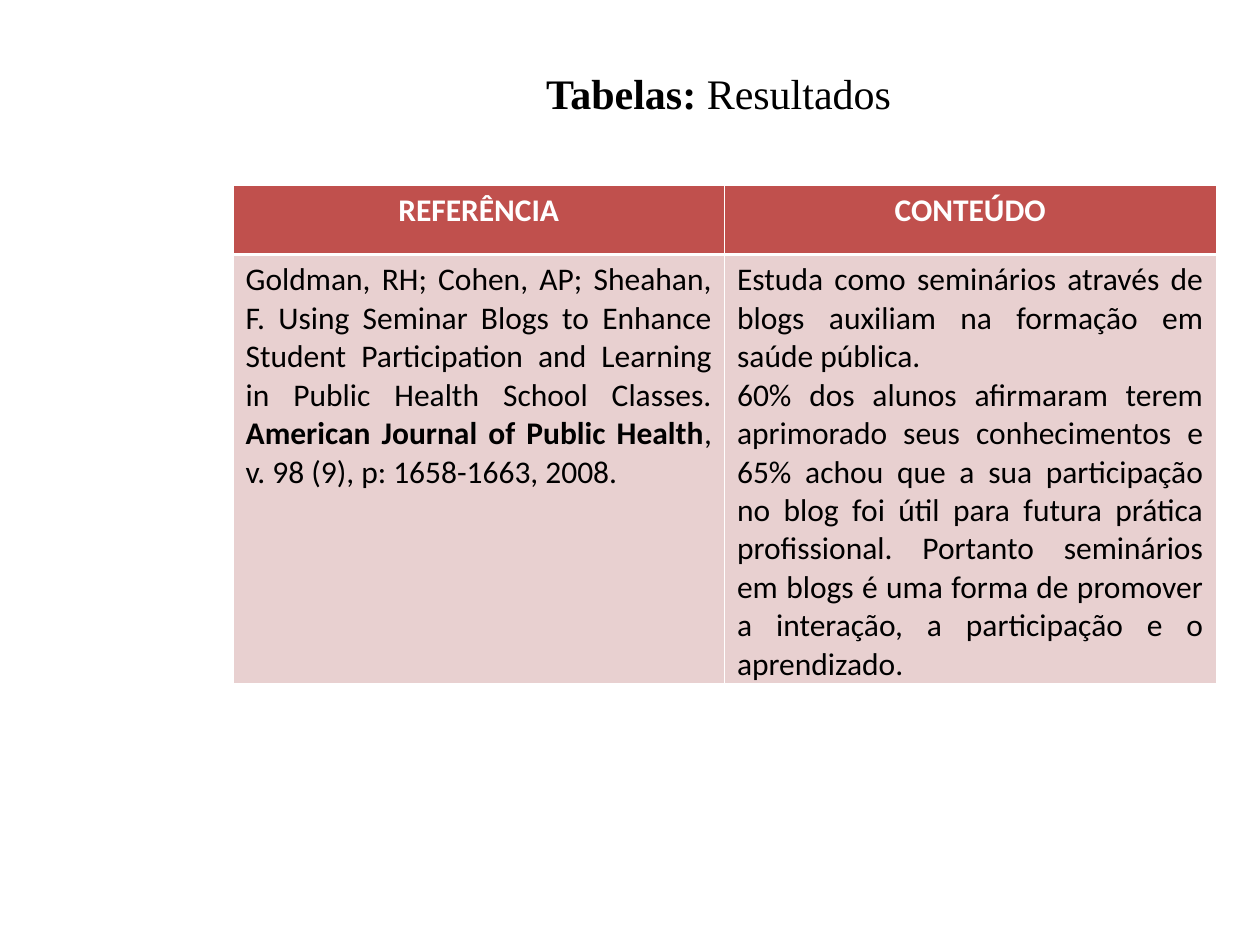
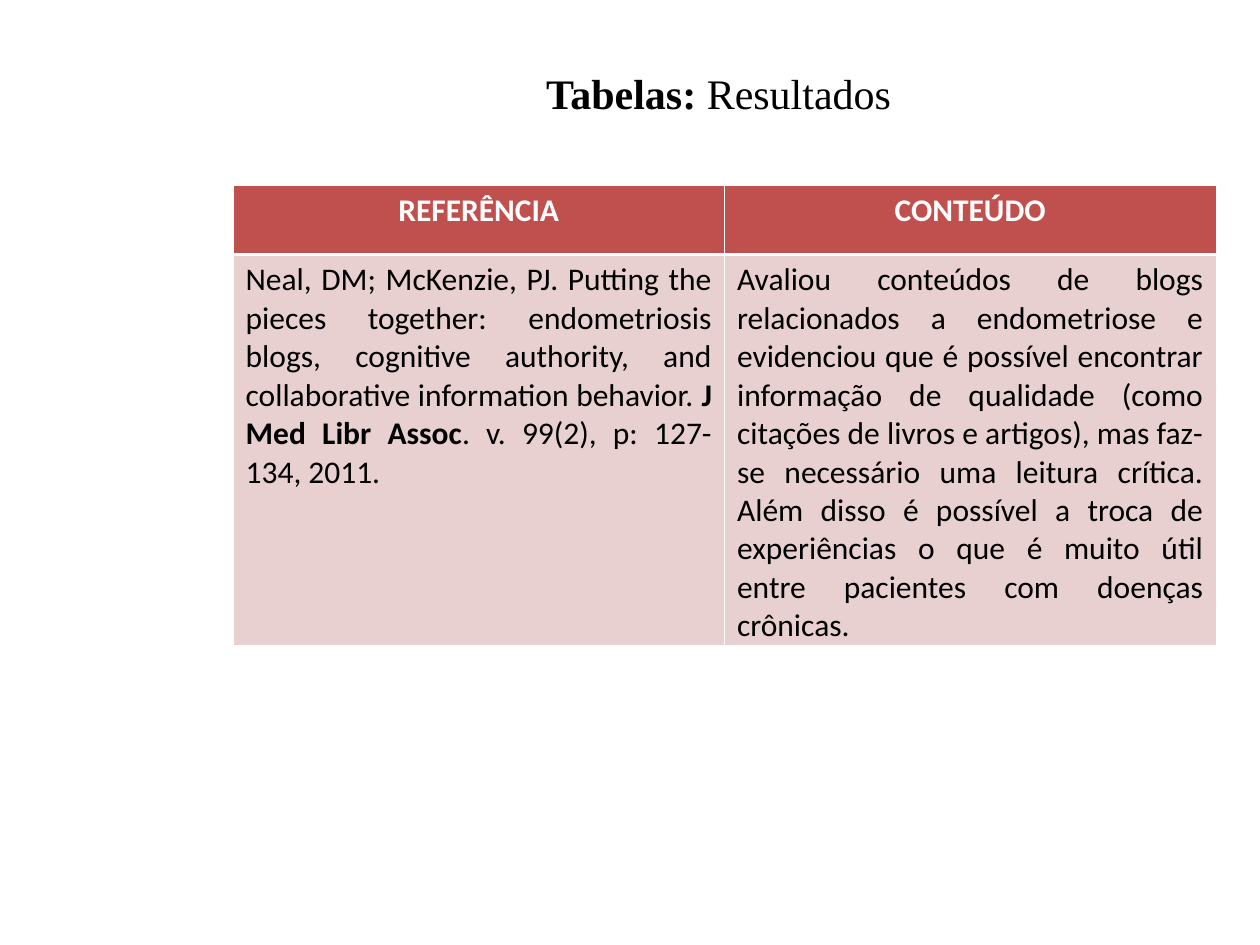
from dataclasses import dataclass

from lxml import etree
from pptx import Presentation
from pptx.dml.color import RGBColor
from pptx.enum.text import MSO_AUTO_SIZE, PP_ALIGN
from pptx.oxml.ns import qn
from pptx.util import Emu, Pt

CENTER, JUSTIFY = PP_ALIGN.CENTER, PP_ALIGN.JUSTIFY
GROW = MSO_AUTO_SIZE.SHAPE_TO_FIT_TEXT

EMU_PER_PX = 9144  # 100 px to the inch
BLANK_LAYOUT = 6

WHITE = RGBColor(0xFF, 0xFF, 0xFF)
BLACK = RGBColor(0x00, 0x00, 0x00)
HEADER_RED = RGBColor(0xC0, 0x50, 0x4D)
BODY_PINK = RGBColor(0xE8, 0xD0, 0xD0)

THIN, THICK = Pt(0.45), Pt(1.47)
HEADER_HEIGHT = 55
COLUMN_WIDTH = 390
HEADINGS = ("REFERÊNCIA", "CONTEÚDO")


@dataclass(frozen=True)
class Run:
    text: str
    bold: bool = False


@dataclass(frozen=True)
class TextStyle:
    font: str
    size: int
    color: RGBColor
    align: PP_ALIGN


@dataclass(frozen=True)
class Study:
    reference: list[Run]
    content: list[str]
    row_height: int


TITLE_STYLE = TextStyle("Times New Roman", 24, BLACK, CENTER)
HEADER_STYLE = TextStyle("Calibri", 18, WHITE, CENTER)
BODY_STYLE = TextStyle("Calibri", 18, BLACK, JUSTIFY)
TITLE = [Run("Tabelas:", True), Run(" Resultados ")]

STUDIES = [
    Study(
        [
            Run("Goldman, RH; Cohen, AP; Sheahan, F. Using Seminar Blogs to Enhance "
                "Student Participation and Learning in Public Health School Classes. "),
            Run("American Journal of Public Health", True),
            Run(", v. 98 (9), p: 1658-1663, 2008."),
        ],
        [
            "Estuda como seminários através de blogs auxiliam na formação em "
            "saúde pública.",
            "60% dos alunos afirmaram terem aprimorado seus conhecimentos e 65% "
            "achou que a sua participação no blog foi útil para futura prática "
            "profissional. Portanto seminários em blogs é uma forma de promover a "
            "interação, a participação e o aprendizado.",
        ],
        340,
    ),
    Study(
        [
            Run("Neal, DM; McKenzie, PJ. Putting the pieces together: endometriosis "
                "blogs, cognitive authority, and collaborative information behavior. "),
            Run("J Med Libr Assoc", True),
            Run(". v. 99(2), p: 127-134, 2011."),
        ],
        [
            "Avaliou conteúdos de blogs relacionados a endometriose e evidenciou "
            "que é possível encontrar informação de qualidade (como citações de "
            "livros e artigos), mas faz-se necessário uma leitura crítica. Além "
            "disso é possível a troca de experiências o que é muito útil entre "
            "pacientes com doenças crônicas.",
        ],
        310,
    ),
]


def px(length: int) -> Emu:
    return Emu(length * EMU_PER_PX)


def write_text(tf, paragraphs: list[list[Run]], style: TextStyle) -> None:
    for i, runs in enumerate(paragraphs):
        p = tf.paragraphs[0] if i == 0 else tf.add_paragraph()
        p.alignment = style.align
        p.font.name = style.font
        p.font.size = Pt(style.size)
        p.font.color.rgb = style.color
        for run in runs:
            r = p.add_run()
            r.text = run.text
            r.font.bold = run.bold


def add_borders(cell, top: Emu, bottom: Emu) -> None:
    """Draw white cell borders; must run before the cell gets its fill."""
    tc_pr = cell._tc.get_or_add_tcPr()
    for side, width in (("L", THIN), ("R", THIN), ("T", top), ("B", bottom)):
        ln = etree.SubElement(tc_pr, qn(f"a:ln{side}"), w=str(int(width)))
        fill = etree.SubElement(ln, qn("a:solidFill"))
        etree.SubElement(fill, qn("a:srgbClr"), val=str(WHITE))


def fill_cell(cell, paragraphs: list[list[Run]], header: bool) -> None:
    if header:
        add_borders(cell, THIN, THICK)
    else:
        add_borders(cell, THICK, THIN)
        cell.margin_bottom = 0
    cell.fill.solid()
    cell.fill.fore_color.rgb = HEADER_RED if header else BODY_PINK
    write_text(cell.text_frame, paragraphs, HEADER_STYLE if header else BODY_STYLE)


def add_study_table(slide, study: Study) -> None:
    frame = slide.shapes.add_table(
        2, 2, px(185), px(147),
        px(2 * COLUMN_WIDTH), px(HEADER_HEIGHT + study.row_height))
    table = frame.table
    table.horz_banding = False
    table.rows[0].height = px(HEADER_HEIGHT)
    table.rows[1].height = px(study.row_height)
    bodies = ([study.reference], [[Run(text)] for text in study.content])
    for col, (heading, body) in enumerate(zip(HEADINGS, bodies)):
        table.columns[col].width = px(COLUMN_WIDTH)
        fill_cell(table.cell(0, col), [[Run(heading, True)]], header=True)
        fill_cell(table.cell(1, col), body, header=False)


def add_title(slide) -> None:
    box = slide.shapes.add_textbox(px(177), px(49), px(795), px(50))
    tf = box.text_frame
    tf.word_wrap = True
    tf.auto_size = GROW
    write_text(tf, [TITLE], TITLE_STYLE)


def main() -> None:
    prs = Presentation()
    prs.slide_width, prs.slide_height = px(1000), px(750)
    for study in STUDIES:
        slide = prs.slides.add_slide(prs.slide_layouts[BLANK_LAYOUT])
        add_study_table(slide, study)
        add_title(slide)
    prs.save("out.pptx")


if __name__ == "__main__":
    main()
